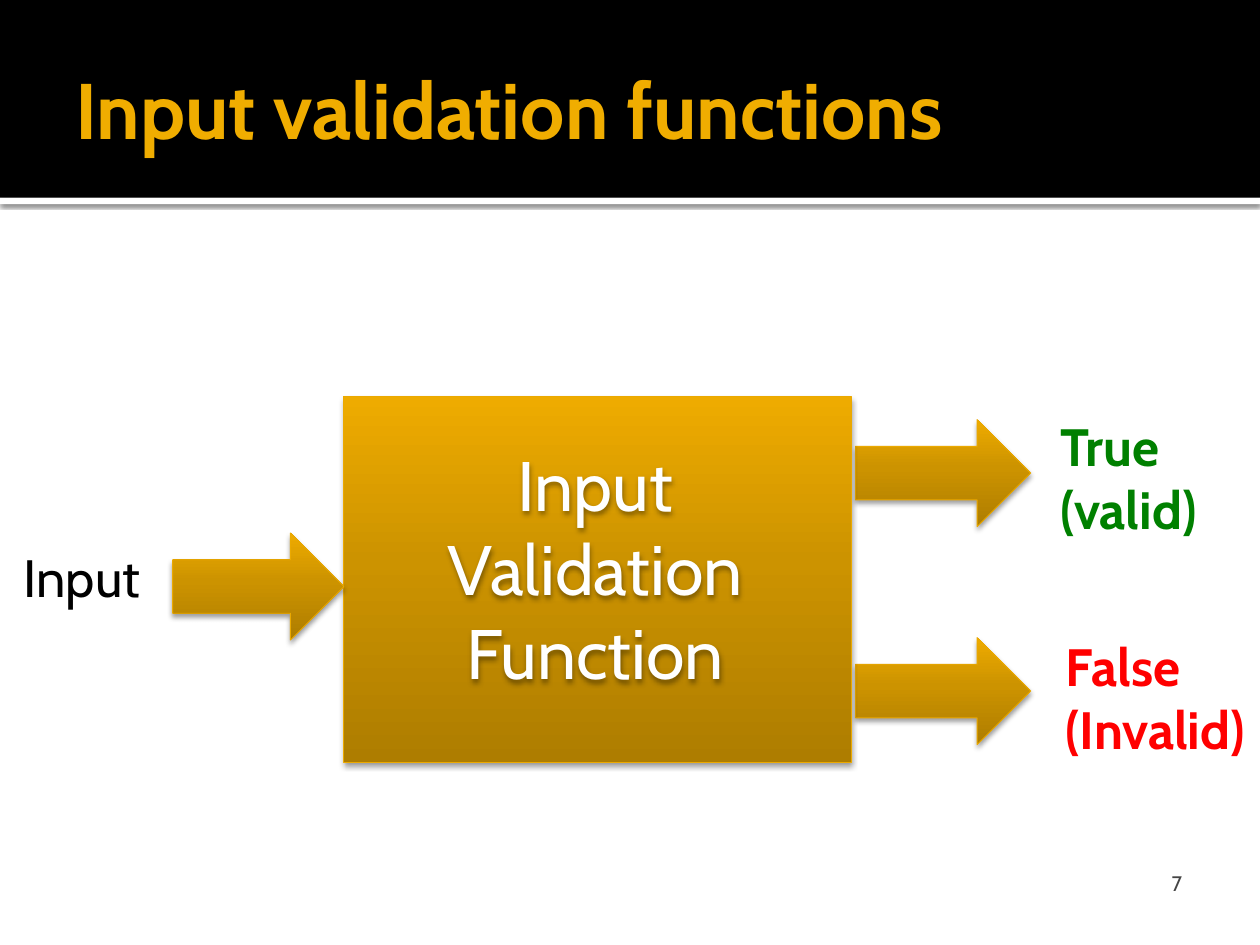
from copy import deepcopy
from dataclasses import dataclass

from lxml.etree import SubElement
from pptx import Presentation
from pptx.dml.color import RGBColor
from pptx.enum.shapes import MSO_SHAPE
from pptx.enum.text import MSO_ANCHOR, PP_ALIGN
from pptx.oxml.ns import qn
from pptx.util import Inches, Pt

COLORS = {
    "black": "000000",
    "white": "FFFFFF",
    "title": "F0AD00",
    "number": "454545",
    "valid": "008000",
    "invalid": "FF0000",
    "edge": "EBA900",
    "gold_dark": "AE7D00",
    "gold_middle": "CC9300",
    "gold_light": "EEAB00",
}
GOLD = [(0, "gold_dark"), (0.55, "gold_middle"), (1, "gold_light")]
FONT = "Cabin"
COLUMNS, ROWS = 100, 75
UNIT = Inches(0.1)


@dataclass
class Box:
    left: float
    top: float
    width: float
    height: float

    def inner(self, left, top, width, height):
        return Box(self.left + left, self.top + top, width, height)

    def lengths(self):
        return [round(n * UNIT) for n in (self.left, self.top, self.width, self.height)]


def color(name):
    return RGBColor.from_string(COLORS[name])


def add_shadow(shape, opacity, blur, distance):
    shape.shadow.inherit = False
    effects = shape._element.spPr.find(qn("a:effectLst"))
    shadow = SubElement(effects, qn("a:outerShdw"), blurRad=str(Pt(blur)),
                        dist=str(Pt(distance)), dir="5400000", rotWithShape="0")
    shade = SubElement(shadow, qn("a:srgbClr"), val=COLORS["black"])
    SubElement(shade, qn("a:alpha"), val=str(opacity * 1000))


def add_band(page, box, fill):
    band = page.shapes.add_shape(MSO_SHAPE.RECTANGLE, *box.lengths())
    band.shadow.inherit = False
    band.fill.solid()
    band.fill.fore_color.rgb = color(fill)
    band.line.fill.background()
    return band


def add_gold_shape(page, kind, box):
    shape = page.shapes.add_shape(kind, *box.lengths())
    shape.fill.gradient()
    shape.fill.gradient_angle = 90
    stops = shape._element.spPr.find(qn("a:gradFill")).find(qn("a:gsLst"))
    stops.append(deepcopy(stops[0]))
    for stop, (position, shade) in zip(shape.fill.gradient_stops, GOLD):
        stop.color.rgb = color(shade)
        stop.position = position
    shape.line.color.rgb = color("edge")
    shape.line.width = Pt(0.5)
    add_shadow(shape, 38, 3.1, 2)


def add_text(page, box, text, size, shade, bold=False,
             align=PP_ALIGN.LEFT, anchor=MSO_ANCHOR.TOP):
    label = page.shapes.add_textbox(*box.lengths())
    frame = label.text_frame
    frame.word_wrap = True
    frame.vertical_anchor = anchor
    frame.text = text
    for para in frame.paragraphs:
        para.alignment = align
        for span in para.runs:
            span.font.name = FONT
            span.font.size = Pt(size)
            span.font.bold = bold
            span.font.color.rgb = color(shade)
    return label


def add_header(page, box):
    rule = add_band(page, box.inner(0, box.height, box.width, 0.5), "white")
    add_shadow(rule, 60, 2.5, 0.8)
    add_band(page, box, "black")
    title = add_text(page, box.inner(5, 1.7, 90, 13.7), "Input validation functions",
                     45, "title", bold=True, anchor=MSO_ANCHOR.MIDDLE)
    title.text_frame.margin_right = Inches(0.05)


def add_diagram(page, box):
    arrow, arrow_height = MSO_SHAPE.RIGHT_ARROW, 8.5
    outcomes = [
        ("True\n(valid)", "valid", 1.8, box.inner(83.2, 0.9, 14.4, 11.1)),
        ("False\n(Invalid)", "invalid", 19.1, box.inner(83.6, 18.3, 16.8, 11.1)),
    ]
    for text, shade, top, place in outcomes:
        add_gold_shape(page, arrow, box.inner(67.9, top, 13.9, arrow_height))
        add_text(page, place, text, 30, shade, bold=True)
    add_gold_shape(page, MSO_SHAPE.RECTANGLE, box.inner(27.3, 0, 40.3, box.height))
    name = add_text(page, box.inner(28.7, 2.9, 37.1, 21.2), "Input Validation Function",
                    40, "white", align=PP_ALIGN.CENTER, anchor=MSO_ANCHOR.MIDDLE)
    add_shadow(name, 38, 3.1, 2)
    add_gold_shape(page, arrow, box.inner(13.7, 10.8, 13.6, arrow_height))
    add_text(page, box.inner(0.9, 11.3, 16.8, 6.1), "Input", 30, "black")


def add_page_number(page, box):
    number = add_text(page, box, "7", 12, "number",
                      align=PP_ALIGN.RIGHT, anchor=MSO_ANCHOR.BOTTOM)
    number.text_frame.margin_bottom = 0


def main():
    deck = Presentation()
    deck.slide_width, deck.slide_height = COLUMNS * UNIT, ROWS * UNIT
    page = deck.slides.add_slide(deck.slide_layouts[6])
    add_header(page, Box(0, 0, COLUMNS, 15.7))
    add_diagram(page, Box(0, 31.5, COLUMNS, 29))
    add_page_number(page, Box(86.8, 68.1, 8, 3))
    deck.save("out.pptx")


if __name__ == "__main__":
    main()
